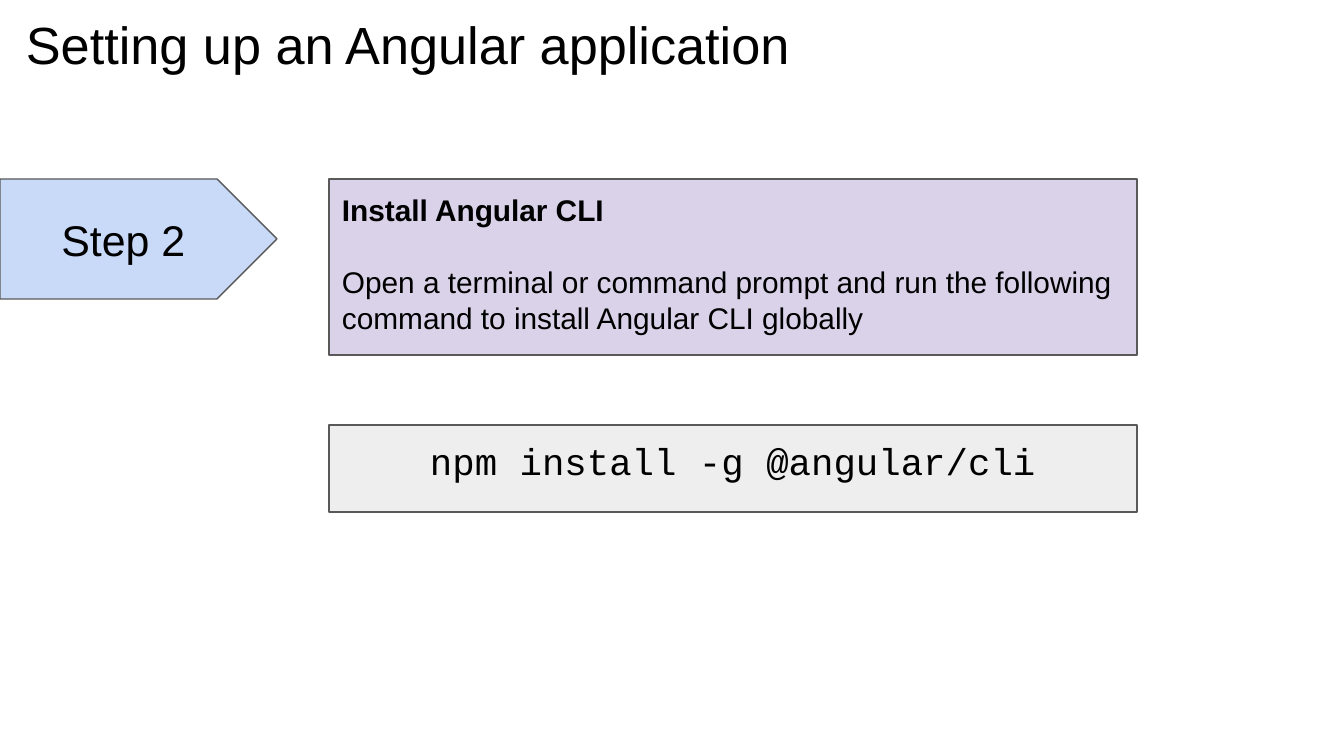
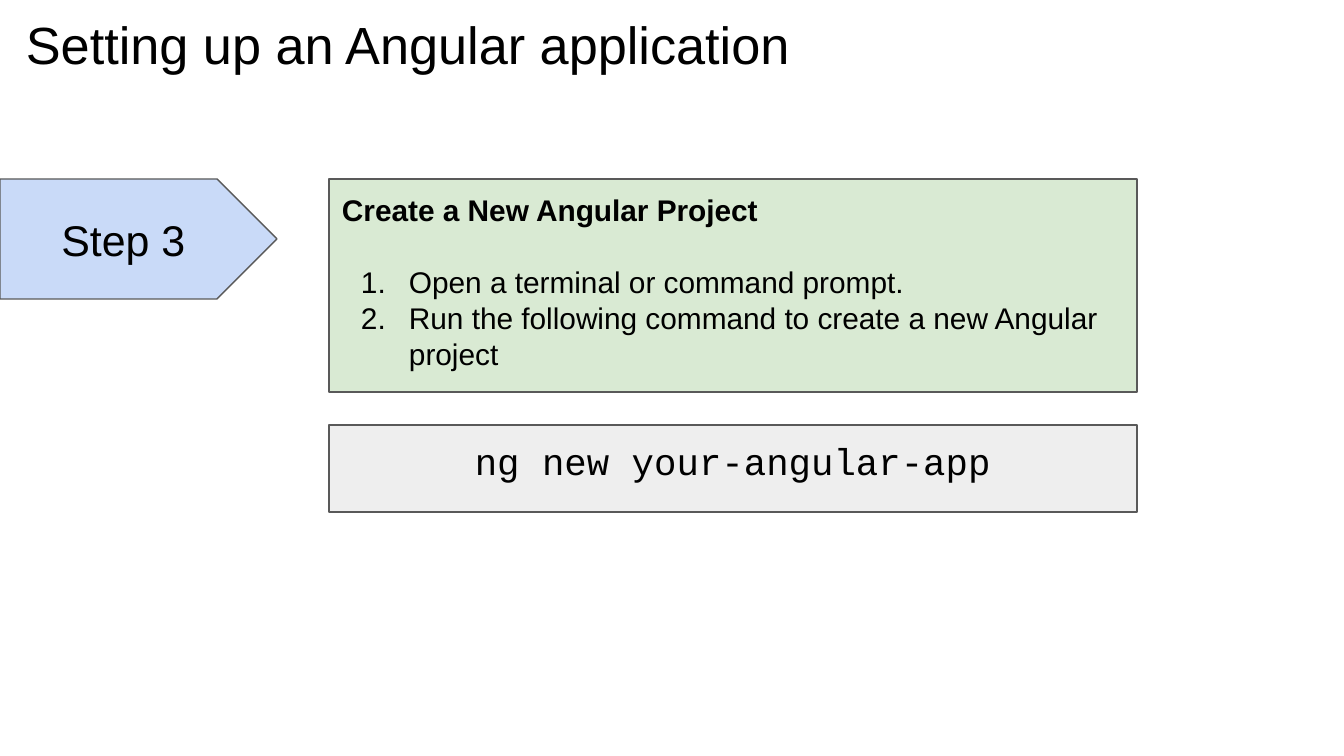
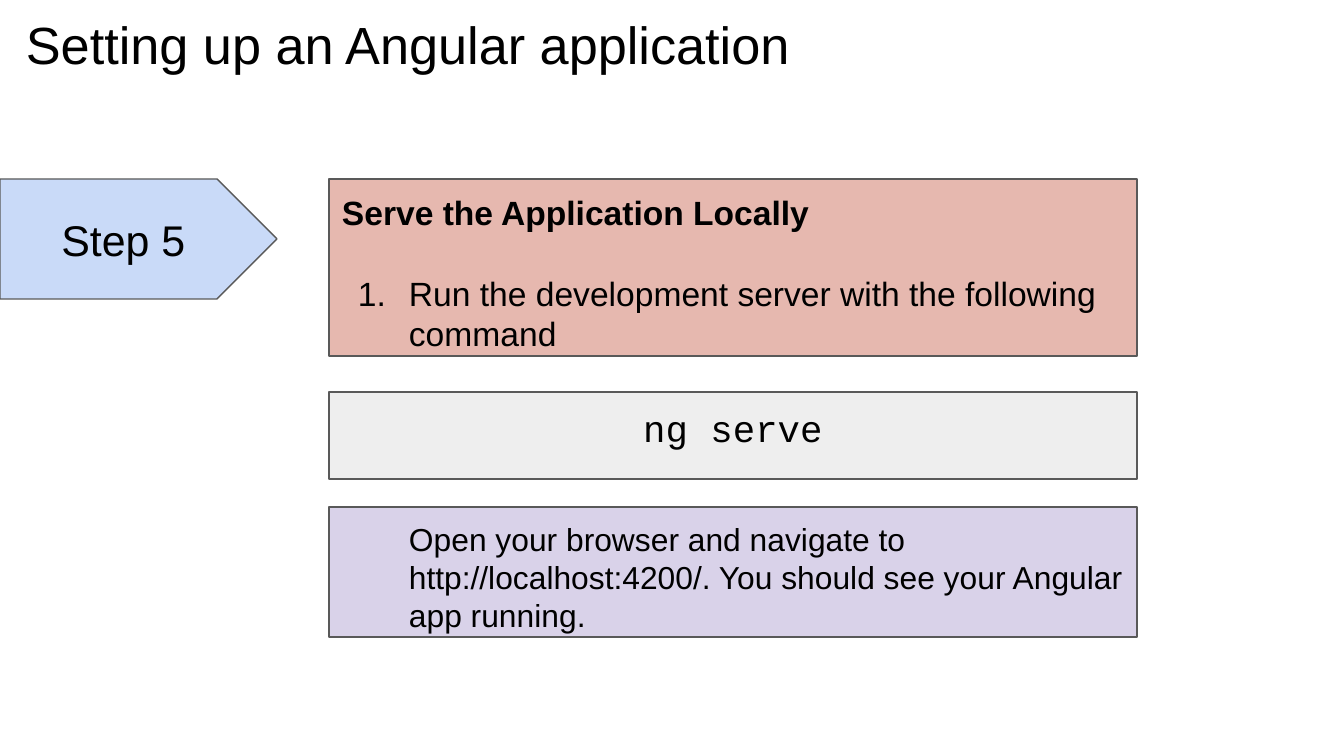
from dataclasses import dataclass

from lxml.etree import SubElement
from pptx import Presentation
from pptx.dml.color import RGBColor
from pptx.enum.shapes import MSO_SHAPE
from pptx.enum.text import MSO_ANCHOR, MSO_AUTO_SIZE, PP_ALIGN
from pptx.oxml.ns import qn
from pptx.util import Emu, Pt


@dataclass(frozen=True)
class Theme:
    text: str = "000000"
    outline: str = "595959"
    arrow: str = "C9DAF8"
    command: str = "EEEEEE"
    lilac: str = "D9D2E9"
    green: str = "D9EAD3"
    rose: str = "E6B8AF"
    sans: str = "Arial"
    mono: str = "Courier New"
    title_size: int = 28
    step_size: int = 23
    command_size: int = 20
    note_size: int = 17
    line_width: float = 0.75


THEME = Theme()
EMU_PER_PX = 914400 / 134.4
BOX_LEFT, BOX_WIDTH = 329, 808
TOP = 179
INDENT = 67


def px(n):
    return Emu(round(n * EMU_PER_PX))


def place(s, left, top, width, height):
    s.left, s.top, s.width, s.height = px(left), px(top), px(width), px(height)


def set_insets(tf, x, y):
    tf.margin_left = tf.margin_right = px(x)
    tf.margin_top = tf.margin_bottom = px(y)
    tf.word_wrap = True
    tf.auto_size = MSO_AUTO_SIZE.NONE


def format_text(p, size, font=THEME.sans, bold=False, align=PP_ALIGN.LEFT):
    p.alignment = align
    for r in p.runs:
        r.font.name = font
        r.font.size = Pt(size)
        r.font.bold = bold
        r.font.color.rgb = RGBColor.from_string(THEME.text)


def indent(p, hanging=0):
    pPr = p._p.get_or_add_pPr()
    pPr.set("marL", str(px(INDENT)))
    pPr.set("indent", str(px(-hanging)))
    return pPr


def number(p, hanging):
    pPr = indent(p, hanging)
    color = SubElement(pPr, qn("a:buClr"))
    SubElement(color, qn("a:srgbClr"), val=THEME.text)
    SubElement(pPr, qn("a:buFont"), typeface=THEME.sans)
    SubElement(pPr, qn("a:buAutoNum"), type="arabicPeriod")


def add_title(slide, text):
    s = slide.shapes.title
    place(s, 17, 15, 1059, 164)
    tf = s.text_frame
    tf.text = text
    tf.vertical_anchor = MSO_ANCHOR.TOP
    set_insets(tf, 9, 5)
    tf.paragraphs[0].line_spacing = 0.89
    format_text(tf.paragraphs[0], THEME.title_size)


def add_panel(slide, kind, left, top, width, height, fill, anchor=MSO_ANCHOR.TOP):
    s = slide.shapes.add_shape(kind, px(left), px(top), px(width), px(height))
    s.shadow.inherit = False
    s.fill.solid()
    s.fill.fore_color.rgb = RGBColor.from_string(fill)
    s.line.color.rgb = RGBColor.from_string(THEME.outline)
    s.line.width = Pt(THEME.line_width)
    set_insets(s.text_frame, 13, 13)
    s.text_frame.vertical_anchor = anchor
    return s.text_frame


def add_box(slide, top, height, fill):
    return add_panel(slide, MSO_SHAPE.RECTANGLE, BOX_LEFT, top, BOX_WIDTH, height, fill)


def add_step(slide, text):
    tf = add_panel(slide, MSO_SHAPE.PENTAGON, 0, TOP, 277, 120, THEME.arrow, MSO_ANCHOR.MIDDLE)
    tf.text = text
    format_text(tf.paragraphs[0], THEME.step_size, align=PP_ALIGN.CENTER)


def add_instructions(slide, height, fill, heading, lines, size=16, hanging=0):
    tf = add_box(slide, TOP, height, fill)
    tf.text = heading
    p = tf.paragraphs[0]
    p.space_after = Pt(round(size * 1.2, 1))
    format_text(p, size, bold=True)
    for line in lines:
        p = tf.add_paragraph()
        p.text = line
        format_text(p, size)
        if hanging:
            number(p, hanging)


def add_command(slide, text, top=425):
    tf = add_box(slide, top, 87, THEME.command)
    tf.text = text
    format_text(tf.paragraphs[0], THEME.command_size, THEME.mono, align=PP_ALIGN.CENTER)


def add_note(slide, text):
    tf = add_box(slide, 507, 130, THEME.lilac)
    tf.text = text
    format_text(tf.paragraphs[0], THEME.note_size)
    indent(tf.paragraphs[0])


def add_step_slide(prs, step):
    slide = prs.slides.add_slide(prs.slide_layouts[5])
    add_title(slide, "Setting up an Angular application")
    add_step(slide, step)
    return slide


def main():
    prs = Presentation()
    prs.slide_width, prs.slide_height = px(1344), px(756)

    slide = add_step_slide(prs, "Step 2")
    add_instructions(slide, 176, THEME.lilac, "Install Angular CLI", [
        "Open a terminal or command prompt and run the following command "
        "to install Angular CLI globally",
    ])
    add_command(slide, "npm install -g @angular/cli")

    slide = add_step_slide(prs, "Step 3")
    add_instructions(slide, 213, THEME.green, "Create a New Angular Project", [
        "Open a terminal or command prompt.",
        "Run the following command to create a new Angular project",
    ], hanging=48)
    add_command(slide, "ng new your-angular-app")

    slide = add_step_slide(prs, "Step 5")
    add_instructions(slide, 177, THEME.rose, "Serve the Application Locally", [
        "Run the development server with the following command",
    ], size=18, hanging=51)
    add_command(slide, "ng serve", top=392)
    add_note(slide, "Open your browser and navigate to http://localhost:4200/. "
                    "You should see your Angular app running.")

    prs.save("out.pptx")


if __name__ == "__main__":
    main()
